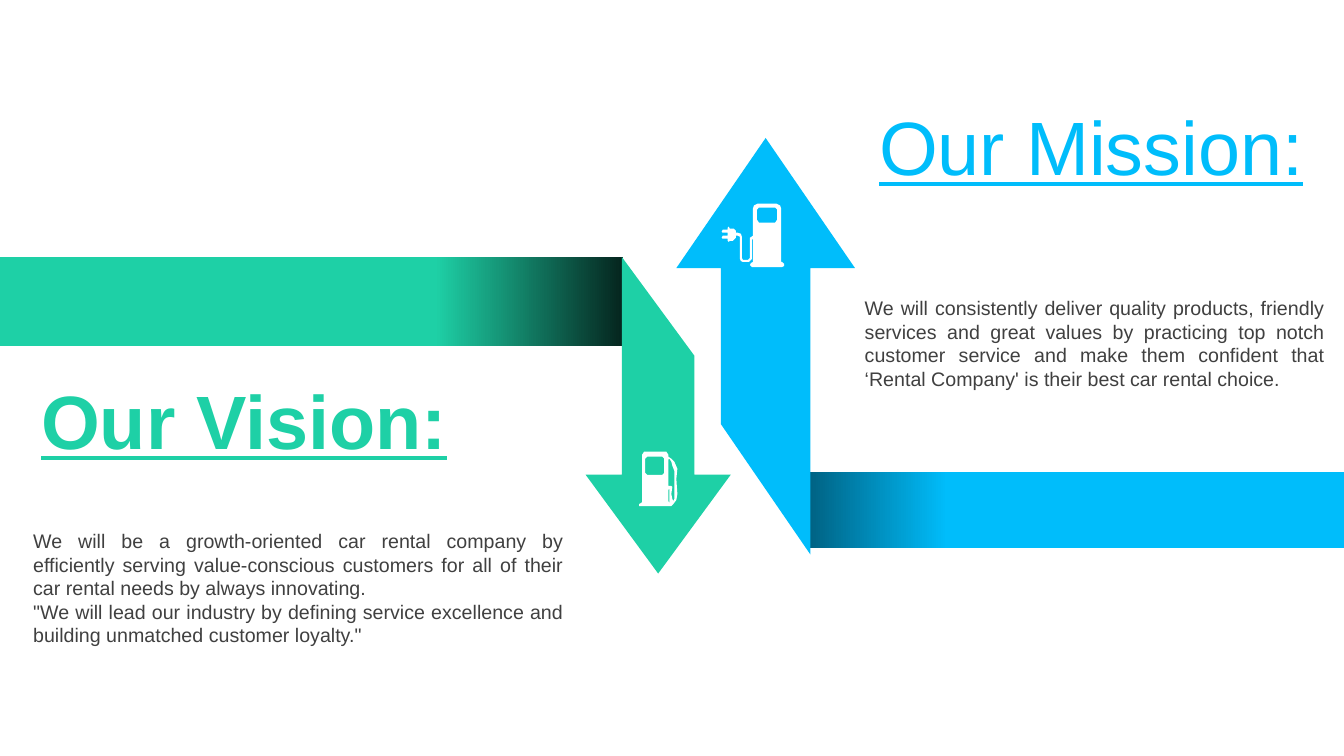
from copy import deepcopy

from pptx import Presentation
from pptx.dml.color import RGBColor
from pptx.enum.shapes import MSO_SHAPE
from pptx.enum.text import MSO_ANCHOR, MSO_AUTO_SIZE, PP_ALIGN
from pptx.oxml.ns import qn
from pptx.util import Pt

COLORS = {
    "vision": "1ED0A6",
    "vision_shade": "05251E",
    "mission": "00BDFB",
    "mission_shade": "006283",
    "body": "404040",
    "icon": "FFFFFF",
}
BODY = {"size": Pt(14)}
TITLE = {"size": Pt(54), "underline": True}
ICON_UNIT = 0.72

FUEL_PUMP = [
    [(0, 54), (0, 52), (2, 51), (3, 50), (3, 3), (5, 0), (27, 0), (29, 3), (29, 5),
     (32, 7), (33, 8), (35, 10), (38, 17), (37, 27), (38, 42), (37, 48), (34, 52),
     (32, 54)],
    [(6, 7), (8, 5), (23, 5), (25, 7), (25, 21), (23, 23), (8, 23), (6, 21)],
    [(29, 8), (30, 7), (32, 10), (33, 14), (35, 19), (35, 47), (34, 49), (33, 47),
     (32, 42), (33, 35), (32, 34), (29, 34)],
    [(29, 38), (30, 37), (30, 51), (29, 49)],
]
CHARGER = [
    [(62, 60), (60, 58), (59, 58), (59, 5), (58, 2), (54, 0), (36, 0), (32, 2),
     (31, 5), (31, 32), (28, 34), (28, 54), (26, 56), (21, 56), (20, 54), (20, 33),
     (19, 30), (16, 29), (14, 29), (14, 27), (12, 25), (8, 25), (7, 23), (6, 24),
     (6, 26), (1, 26), (0, 28), (1, 29), (6, 29), (6, 32), (1, 32), (0, 34),
     (1, 35), (6, 35), (6, 37), (7, 38), (8, 37), (11, 37), (14, 34), (14, 32),
     (16, 32), (18, 33), (18, 55), (19, 57), (21, 58), (27, 58), (30, 55), (30, 36),
     (31, 35), (31, 58), (29, 59), (28, 61), (30, 63), (60, 63), (62, 62)],
    [(55, 16), (53, 19), (37, 19), (35, 16), (35, 6), (37, 4), (53, 4), (55, 6)],
]


class SlideBuilder:
    def __init__(self, page, font, colors):
        self.page = page
        self.font = font
        self.colors = colors

    def color(self, name):
        return RGBColor.from_string(self.colors[name])

    def band(self, left, top, width, height, shade, color, angle):
        box = self.page.shapes.add_shape(
            MSO_SHAPE.RECTANGLE, Pt(left), Pt(top), Pt(width), Pt(height))
        box.shadow.inherit = False
        box.line.fill.background()
        box.fill.gradient()
        box.fill.gradient_angle = angle
        stop_list = box._element.spPr.find(".//" + qn("a:gsLst"))
        stop_list.append(deepcopy(stop_list[-1]))
        steps = [(0, shade), (0.26, color), (1, color)]
        for stop, (position, name) in zip(box.fill.gradient_stops, steps):
            stop.position = position
            stop.color.rgb = self.color(name)

    def outline(self, contours, color):
        first, *holes = [[(Pt(x), Pt(y)) for x, y in contour] for contour in contours]
        builder = self.page.shapes.build_freeform(*first[0], scale=1.0)
        builder.add_line_segments(first[1:], close=True)
        for hole in holes:
            builder.move_to(*hole[0])
            builder.add_line_segments(hole[1:], close=True)
        shape = builder.convert_to_shape()
        shape.shadow.inherit = False
        shape.line.fill.background()
        shape.fill.solid()
        shape.fill.fore_color.rgb = self.color(color)

    def arrow(self, left, width, tip, shoulder, left_end, right_end, color):
        shaft_left, middle, shaft_right, right = (
            left + width * quarter / 4 for quarter in range(1, 5))
        self.outline([[
            (middle, tip), (left, shoulder), (shaft_left, shoulder),
            (shaft_left, left_end), (shaft_right, right_end),
            (shaft_right, shoulder), (right, shoulder)]], color)

    def icon(self, left, top, contours):
        self.outline([[(left + x * ICON_UNIT, top + y * ICON_UNIT) for x, y in contour]
                      for contour in contours], "icon")

    def text(self, left, top, width, height, lines, color, style,
             align=PP_ALIGN.LEFT, anchor=MSO_ANCHOR.TOP):
        box = self.page.shapes.add_textbox(Pt(left), Pt(top), Pt(width), Pt(height))
        frame = box.text_frame
        frame.word_wrap = True
        frame.auto_size = MSO_AUTO_SIZE.SHAPE_TO_FIT_TEXT
        frame.vertical_anchor = anchor
        for index, line in enumerate(lines):
            para = frame.paragraphs[0] if index == 0 else frame.add_paragraph()
            para.alignment = align
            span = para.add_run()
            span.text = line
            span.font.color.rgb = self.color(color)
            for name, value in {"name": self.font, **style}.items():
                setattr(span.font, name, value)


def main():
    deck = Presentation()
    deck.slide_width, deck.slide_height = Pt(960), Pt(540)
    page = deck.slides.add_slide(deck.slide_layouts[6])
    slide = SlideBuilder(page, "Arial", COLORS)

    slide.band(-70.5, 183.6, 515.5, 63.4, "vision_shade", "vision", 180)
    slide.arrow(418.3, 103.7, 409.7, 339.1, 183.6, 254.2, "vision")
    slide.band(577.6, 337, 382.4, 54.7, "mission_shade", "mission", 0)
    slide.arrow(483.1, 127.6, 98.6, 191.5, 303.1, 396, "mission")
    slide.icon(456.5, 322.6, FUEL_PUMP)
    slide.icon(515.5, 145.4, CHARGER)

    slide.text(610.6, 208.1, 342.7, 74.9, [
        "We will consistently deliver quality products, friendly services and great "
        "values by practicing top notch customer service and make them confident that "
        "‘Rental Company' is their best car rental choice.",
    ], "body", BODY, PP_ALIGN.JUSTIFY)
    slide.text(16.6, 374.4, 393.1, 92.2, [
        "We will be a growth-oriented car rental company by efficiently serving "
        "value-conscious customers for all of their car rental needs by always "
        "innovating.",
        "\"We will lead our industry by defining service excellence and building "
        "unmatched customer loyalty.\"",
    ], "body", BODY, PP_ALIGN.JUSTIFY)
    slide.text(22.3, 263.5, 396.7, 90, ["Our Vision:"], "vision", {**TITLE, "bold": True})
    slide.text(505.4, 67.7, 432.7, 72.7, ["Our Mission:"], "mission", TITLE,
               PP_ALIGN.RIGHT, MSO_ANCHOR.MIDDLE)
    deck.save("out.pptx")


if __name__ == "__main__":
    main()
